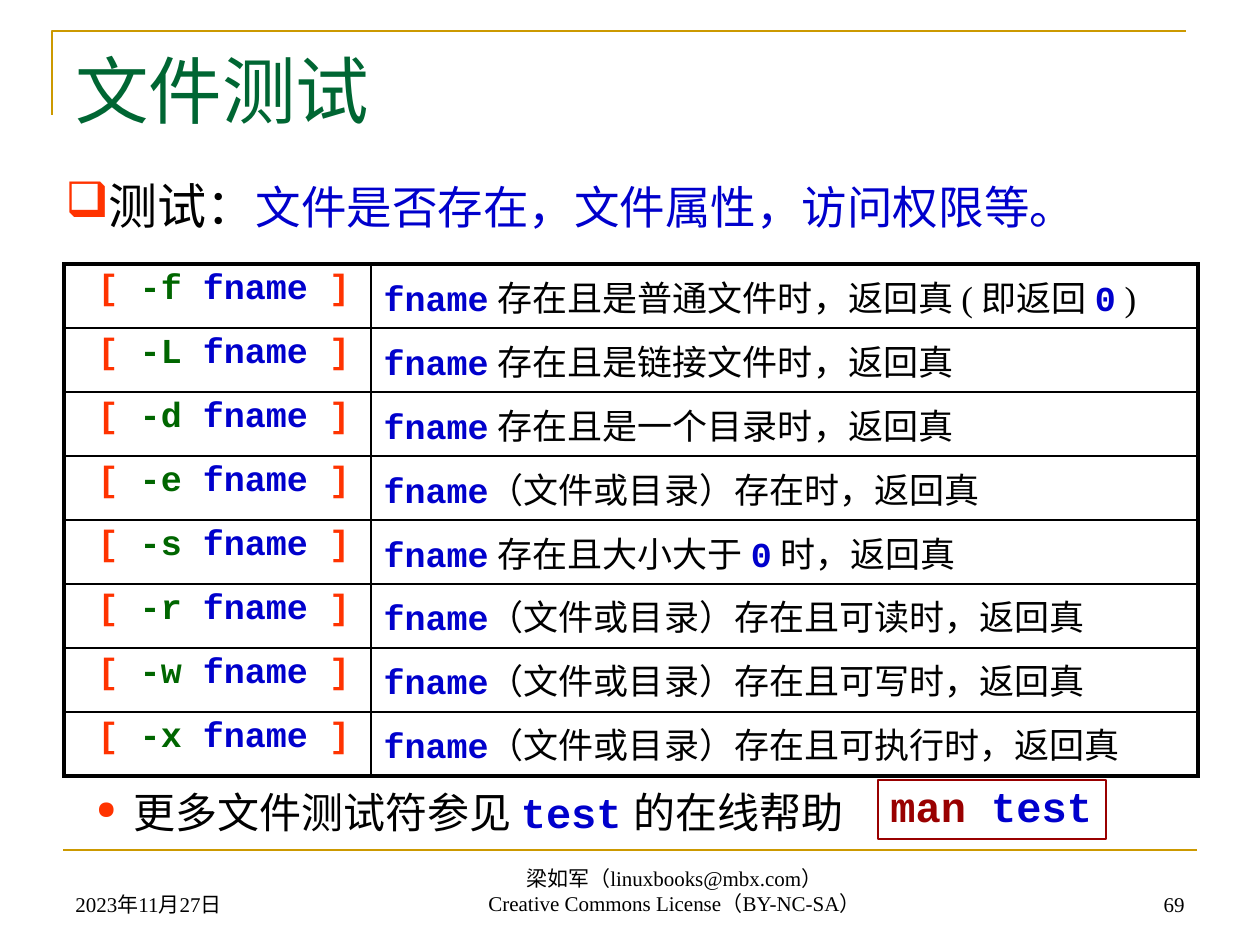
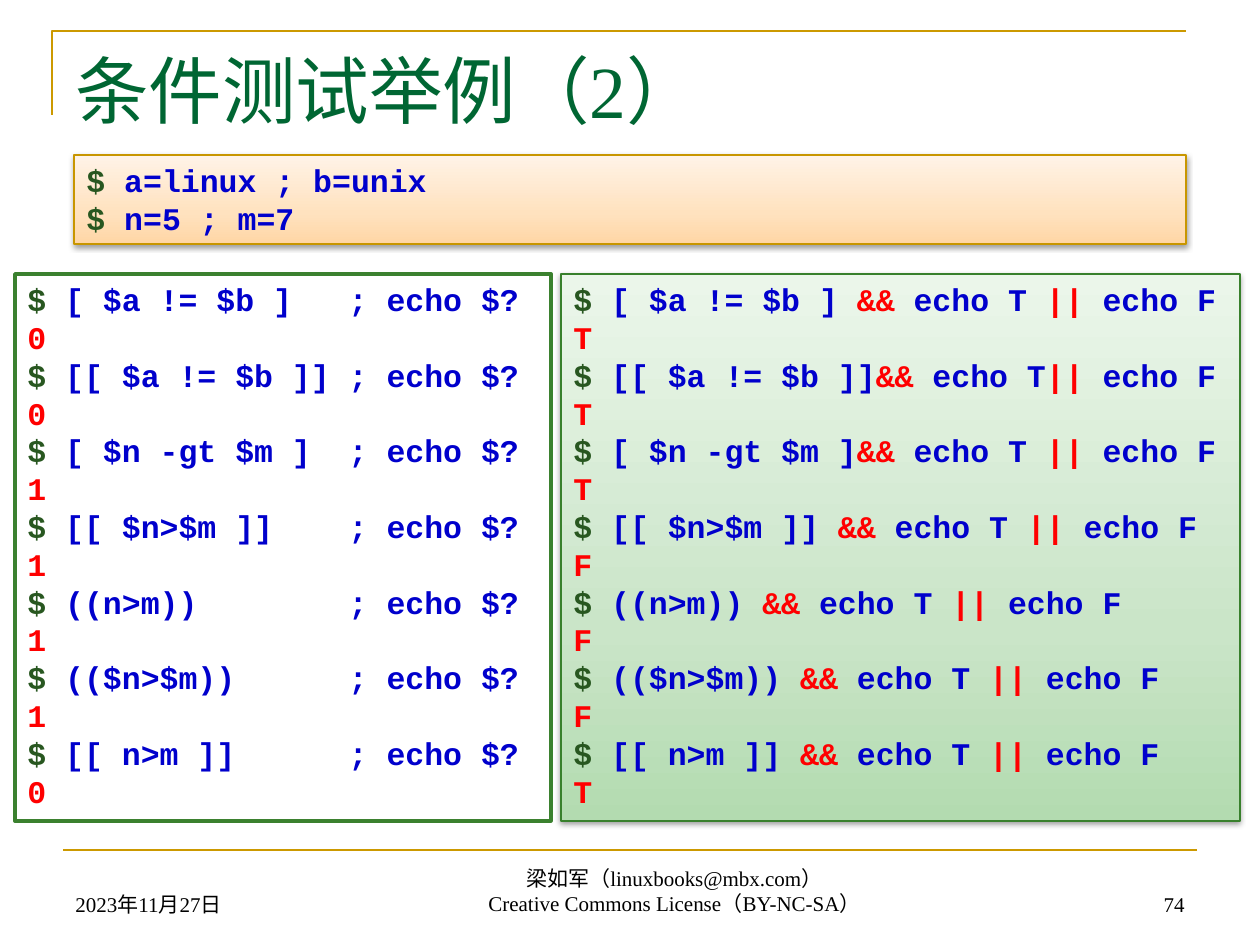
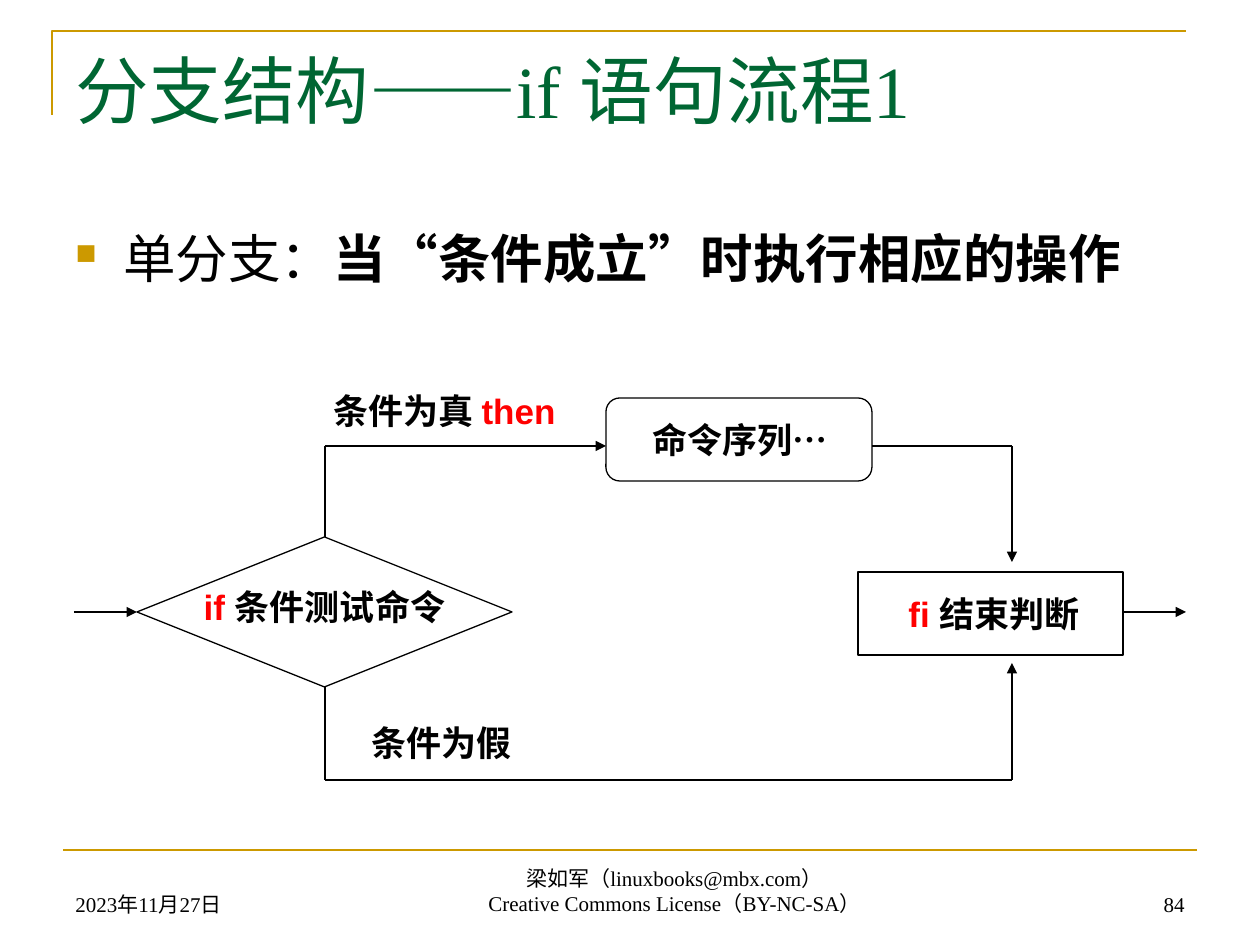
from dataclasses import dataclass

from lxml.etree import SubElement
from pptx import Presentation
from pptx.dml.color import RGBColor
from pptx.enum.shapes import MSO_CONNECTOR, MSO_SHAPE
from pptx.enum.text import MSO_ANCHOR, PP_ALIGN
from pptx.oxml.ns import qn
from pptx.util import Pt

SCALE = 914400 / 126


@dataclass(frozen=True)
class Theme:
    gold: str = "CC9900"
    title: str = "006633"
    black: str = "000000"
    white: str = "FFFFFF"
    blue: str = "0000CC"
    red: str = "FF0000"
    orange: str = "FF3300"
    flag: str = "006600"
    prompt: str = "285720"
    brown: str = "990000"
    frame: str = "3B812F"
    peach: tuple = ("C89600", "FFD6A5", "FFE2BF", "FFF3E7")
    mint: tuple = ("38802C", "B3DBB0", "CAE5C8", "EBF6EA")
    serif: str = "Times New Roman"
    sans: str = "Arial"
    mono: str = "Courier New"
    asian: str = "Noto Sans CJK SC"
    head: int = 42
    body: int = 30
    lead: int = 28
    point: int = 26
    note: int = 24
    cell: int = 20
    code: int = 18
    foot: int = 12


T = Theme()
PLAIN = dict(font=T.serif, color=T.black, bold=False)
RED = dict(color=T.red)
CODE = dict(font=T.mono, color=T.blue, bold=True)
PROMPT = dict(color=T.prompt)

# Test, padding before && and ||, exit code, mark
TESTS = [
    ("[ $a != $b ]", " ", " ", "0", "T"),
    ("[[ $a != $b ]]", "", "", "0", "T"),
    ("[ $n -gt $m ]", "", " ", "1", "T"),
    ("[[ $n>$m ]]", " ", " ", "1", "F"),
    ("((n>m))", " ", " ", "1", "F"),
    ("(($n>$m))", " ", " ", "1", "F"),
    ("[[ n>m ]]", " ", " ", "0", "T"),
]

FILES = [
    ("f", [(" 存在且是普通文件时，返回真 ( 即返回 ", PLAIN), "0", (" )", PLAIN)]),
    ("L", [(" 存在且是链接文件时，返回真", PLAIN)]),
    ("d", [(" 存在且是一个目录时，返回真", PLAIN)]),
    ("e", [("（文件或目录）存在时，返回真", PLAIN)]),
    ("s", [(" 存在且大小大于 ", PLAIN), "0", (" 时，返回真", PLAIN)]),
    ("r", [("（文件或目录）存在且可读时，返回真", PLAIN)]),
    ("w", [("（文件或目录）存在且可写时，返回真", PLAIN)]),
    ("x", [("（文件或目录）存在且可执行时，返回真", PLAIN)]),
]


def px(*sizes):
    return [round(size * SCALE) for size in sizes]


def rgb(color):
    return RGBColor.from_string(color)


def node(parent, tag, **attrs):
    return SubElement(parent, qn(tag), {k: str(v) for k, v in attrs.items()})


def write(frame, paras, size=18, font=T.sans, color=T.black, bold=False,
          align=PP_ALIGN.LEFT, anchor=MSO_ANCHOR.TOP, space=None, wrap=True,
          bullet=None, indent=0):
    """Fill a text frame; a run is a string or (string, format changes)."""
    frame.word_wrap = wrap
    frame.vertical_anchor = anchor
    base = dict(size=size, font=font, color=color, bold=bold)
    for i, runs in enumerate(paras):
        para = frame.add_paragraph() if i else frame.paragraphs[0]
        para.alignment = align
        if space:
            para.line_spacing = space
        if bullet:
            mark(para, indent, *bullet)
        for item in runs:
            words, change = (item, {}) if isinstance(item, str) else item
            look = {**base, **change}
            run = para.add_run()
            run.text = words
            run.font.size = Pt(look["size"])
            run.font.bold = look["bold"]
            run.font.color.rgb = rgb(look["color"])
            run.font.name = look["font"]
            node(run.font._element, "a:ea", typeface=T.asian)


def mark(para, indent, char, color, size=100):
    """Give a paragraph a bullet with a hanging indent."""
    props = para._p.get_or_add_pPr()
    left = px(indent)[0]
    props.set("marL", str(left))
    props.set("indent", str(-left))
    node(node(props, "a:buClr"), "a:srgbClr", val=color)
    node(props, "a:buSzPct", val=size * 1000)
    node(props, "a:buChar", char=char)


def label(slide, box, paras, **look):
    write(slide.shapes.add_textbox(*px(*box)).text_frame, paras, **look)


def panel(slide, box, line, width=0.75, fill=None, kind=MSO_SHAPE.RECTANGLE):
    shape = slide.shapes.add_shape(kind, *px(*box))
    shape.shadow.inherit = False
    if fill:
        shape.fill.solid()
        shape.fill.fore_color.rgb = rgb(fill)
    else:
        shape.fill.background()
    shape.line.color.rgb = rgb(line)
    shape.line.width = Pt(width)
    return shape


def glow(slide, box, tones):
    """Add a panel with an upward gradient and a soft shadow."""
    line, *stops = tones
    shape = panel(slide, box, line)
    shape.fill.gradient()
    shape.fill.gradient_angle = 90
    props = shape._element.spPr
    ramp = props.find(".//" + qn("a:gsLst"))
    ramp.clear()
    for pos, color in zip((0, 35, 100), stops):
        node(node(ramp, "a:gs", pos=pos * 1000), "a:srgbClr", val=color)
    shade = node(props.find(qn("a:effectLst")), "a:outerShdw", blurRad=Pt(3.1),
                 dist=Pt(1.6), dir=90 * 60000, rotWithShape=0)
    node(node(shade, "a:srgbClr", val=T.black), "a:alpha", val=38000)
    return shape


def line(slide, start, end, color=T.black, width=0.75, arrow=False):
    link = slide.shapes.add_connector(MSO_CONNECTOR.STRAIGHT, *px(*start, *end))
    link.line.color.rgb = rgb(color)
    link.line.width = Pt(width)
    if arrow:
        node(link.line._get_or_add_ln(), "a:tailEnd", type="triangle")
    node(link._element.spPr, "a:effectLst")


def base(deck, title, page):
    """Add a slide with the shared frame, title and footers."""
    slide = deck.slides.add_slide(deck.slide_layouts[6])
    path = slide.shapes.build_freeform(52, 115, scale=SCALE)
    path.add_line_segments([(52, 31), (1186, 31)], close=False)
    edge = path.convert_to_shape()
    edge.shadow.inherit = False
    edge.fill.background()
    edge.line.color.rgb = rgb(T.gold)
    edge.line.width = Pt(1.5)
    line(slide, (63, 850), (1197, 850), T.gold, 1.5)
    label(slide, (63, 39, 1134, 158), [[title]], size=T.head, font=T.serif, color=T.title)
    foot = dict(size=T.foot, font=T.serif, anchor=MSO_ANCHOR.BOTTOM)
    label(slide, (63, 860, 294, 63), [["2023年11月27日"]], **foot)
    label(slide, (302, 859, 745, 63),
          [["梁如军（linuxbooks@mbx.com）"], ["Creative Commons License（BY-NC-SA）"]],
          align=PP_ALIGN.CENTER, **foot)
    label(slide, (903, 860, 294, 63), [[str(page)]], align=PP_ALIGN.RIGHT, **foot)
    return slide


def rule(cell, sides):
    """Draw the cell borders; sides gives widths left, right, top, bottom."""
    props = cell._tc.get_or_add_tcPr()
    for i, (side, width) in enumerate(zip("LRTB", sides)):
        edge = node(props, "a:ln" + side, w=Pt(width))
        node(node(edge, "a:solidFill"), "a:srgbClr", val=T.black)
        props.insert(i, edge)


def grid(slide, left, top, widths, height, rows):
    count, last = len(rows), len(widths) - 1
    shape = slide.shapes.add_table(count, len(widths),
                                   *px(left, top, sum(widths), height * count))
    table = shape.table
    table.first_row = table.horz_banding = False
    for col, width in zip(table.columns, px(*widths)):
        col.width = width
    for r, row in enumerate(rows):
        table.rows[r].height = px(height)[0]
        for c, runs in enumerate(row):
            cell = table.cell(r, c)
            cell.fill.background()
            outer = (c == 0, c == last, r == 0, r == count - 1)
            rule(cell, [2.25 if out else 1 for out in outer])
            write(cell.text_frame, [runs], size=T.cell, **CODE)


def files(deck):
    slide = base(deck, "文件测试", 69)
    rows = []
    for flag, sense in FILES:
        call = [(" [ ", dict(color=T.orange)), (f"-{flag} ", dict(color=T.flag)),
                "fname ", ("]", dict(color=T.orange))]
        rows.append((call, ["fname", *sense]))
    grid(slide, 64, 264, (307, 827), 64, rows)
    label(slide, (53, 158, 1155, 83),
          [["测试：", ("文件是否存在，文件属性，访问权限等。", dict(size=T.point, color=T.blue))]],
          size=T.lead, space=1.2, bullet=("❑", T.orange))
    label(slide, (84, 770, 814, 74),
          [["更多文件测试符参见 ", ("test", CODE), " 的在线帮助"]],
          size=T.note, space=1.2, bullet=("●", T.orange, 60), indent=37)
    box = panel(slide, (878, 780, 228, 59), T.brown)
    write(box.text_frame, [[("man", dict(color=T.brown)), " test"]],
          size=T.note, space=0.9, wrap=False, **CODE)


def cases(deck):
    slide = base(deck, "条件测试举例（2）", 74)
    codes, marks = [], []
    for test, gap, pad, code, sign in TESTS:
        codes += [[("$ ", PROMPT), f"{test:<14} ; echo $?"], [(code, RED)]]
        marks += [[("$ ", PROMPT), test + gap, ("&&", RED), " echo T" + pad,
                   ("||", RED), " echo F"], [(sign, RED)]]
    setup = [[("$", PROMPT), text] for text in (" a=linux ; b=unix", " n=5 ; m=7")]
    boxes = [
        (panel(slide, (15, 274, 536, 547), T.frame, 2, T.white), codes),
        (glow(slide, (74, 155, 1112, 89), T.peach), setup),
        (glow(slide, (561, 274, 679, 547), T.mint), marks),
    ]
    for box, paras in boxes:
        write(box.text_frame, paras, size=T.code, **CODE)


def flow(deck):
    slide = base(deck, "分支结构——if 语句流程1", 84)
    label(slide, (63, 220, 1134, 624),
          [["单分支：", ("当“条件成立”时执行相应的操作", dict(font=T.asian, bold=True))]],
          size=T.body, bullet=("■", T.gold, 55), indent=48)
    fork, join, high, mid, low = 325, 1012, 446, 612, 780
    line(slide, (fork, high), (fork, low))
    for box, kind in [
        ((858, 572, 265, 83), MSO_SHAPE.FLOWCHART_PROCESS),
        ((137, 537, 375, 150), MSO_SHAPE.FLOWCHART_DECISION),
        ((606, 398, 266, 83), MSO_SHAPE.FLOWCHART_ALTERNATE_PROCESS),
    ]:
        panel(slide, box, T.black, fill=T.white, kind=kind)
    for start, end, arrow in [
        ((fork, high), (606, high), True),
        ((872, high), (join, high), False),
        ((join, high), (join, 562), True),
        ((join, low), (join, 663), True),
        ((fork, low), (join, low), False),
        ((74, mid), (137, mid), True),
        ((1124, mid), (1186, mid), True),
    ]:
        line(slide, start, end, arrow=arrow)
    for box, runs, align in [
        ((137, 579, 375, 55), [("if ", RED), "条件测试命令"], PP_ALIGN.CENTER),
        ((611, 412, 258, 55), ["命令序列…"], PP_ALIGN.CENTER),
        ((896, 586, 222, 55), [("fi ", RED), "结束判断"], PP_ALIGN.LEFT),
        ((302, 383, 266, 55), ["条件为真 ", ("then", RED)], PP_ALIGN.RIGHT),
        ((258, 715, 266, 55), ["条件为假"], PP_ALIGN.RIGHT),
    ]:
        label(slide, box, [runs], size=T.cell, bold=True, align=align)


def main():
    deck = Presentation()
    deck.slide_width, deck.slide_height = px(1260, 945)
    files(deck)
    cases(deck)
    flow(deck)
    deck.save("out.pptx")


if __name__ == "__main__":
    main()
